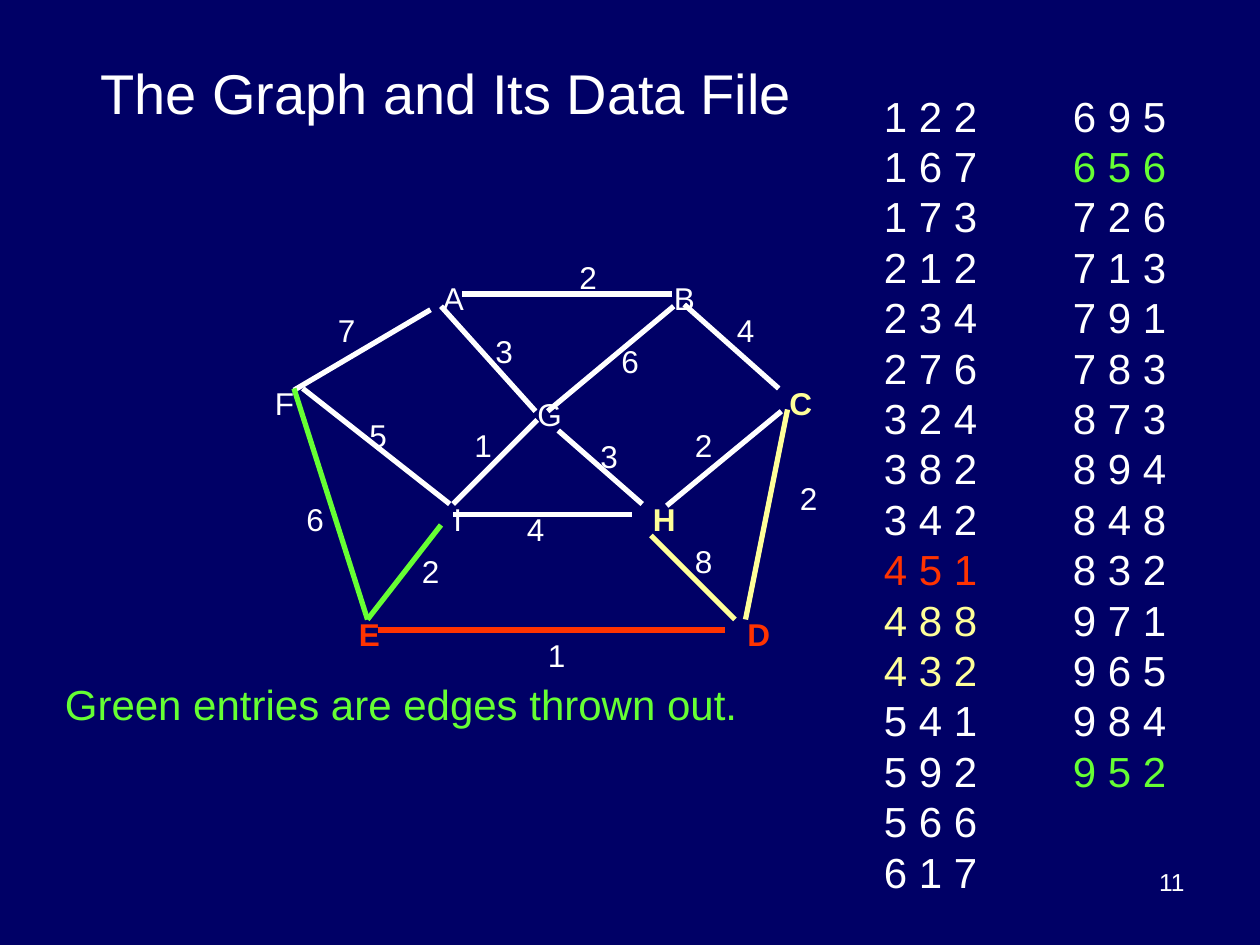
from lxml.etree import SubElement
from pptx import Presentation
from pptx.dml.color import RGBColor
from pptx.enum.shapes import MSO_CONNECTOR
from pptx.enum.text import MSO_ANCHOR, PP_ALIGN
from pptx.oxml.ns import qn
from pptx.util import Pt

COLORS = {"navy": "000066", "white": "FFFFFF", "red": "FF3300",
          "yellow": "FFFF99", "green": "66FF33"}


def paint(name):
    return RGBColor.from_string(COLORS[name])


class Board:
    """Holds the style and the current slide."""
    font = "Arial"
    width = 3

    def __init__(self, slide):
        self.slide = slide
        fill = slide.background.fill
        fill.solid()
        fill.fore_color.rgb = paint("navy")

    def text(self, text, *, box, size=18, color="white", bold=False,
             align=PP_ALIGN.LEFT, anchor=MSO_ANCHOR.TOP, marks=None):
        """Add one paragraph per line; marks gives some lines a color."""
        frame = self.slide.shapes.add_textbox(*map(Pt, box)).text_frame
        frame.word_wrap = True
        frame.vertical_anchor = anchor
        frame.text = text
        for para in frame.paragraphs:
            para.alignment = align
            para.line_spacing = Pt(round(size * 1.2, 1))
            font = para.font
            font.name, font.size, font.bold = self.font, Pt(size), bold
            font.color.rgb = paint((marks or {}).get(para.text, color))

    def label(self, text, x, y, color="white"):
        self.text(text, box=(x, y, 30, 28.8), color=color,
                  bold=color != "white")

    def edge(self, start, end, color="white"):
        line = self.slide.shapes.add_connector(
            MSO_CONNECTOR.STRAIGHT, *map(Pt, start + end))
        line.line.color.rgb = paint(color)
        line.line.width = Pt(self.width)
        SubElement(line._element.spPr, qn("a:effectLst"))

    def column(self, rows, x, width, marks):
        self.text("\n".join(rows), box=(x, 48, width, 468), size=24,
                  marks=marks)


NODES = [
    ("D", 420, 348, "red"), ("E", 198, 348, "red"),
    ("H", 366, 282, "yellow"), ("I", 252, 282), ("F", 150, 216),
    ("C", 444, 216, "yellow"), ("G", 300, 222), ("B", 378, 156),
    ("A", 246, 156),
]
EDGES = [
    ((264, 168), (384, 168)),                # A-B
    ((173, 222), (257, 288)),                # F-I
    ((168, 223), (246, 177)),                # F-A
    ((252, 175), (306, 235)),                # A-G
    ((385, 175), (313, 235)),                # B-G
    ((307, 240), (259, 288)),                # G-I
    ((319, 246), (367, 288)),                # G-H
    ((391, 174), (445, 222)),                # B-C
    ((446.5, 235), (381, 289)),              # C-H
    ((450, 234), (426, 354), "yellow"),      # C-D
    ((372, 306), (420, 354), "yellow"),      # H-D
    ((259, 294), (361, 294)),                # I-H
    ((252, 300), (210, 354), "green"),       # I-E
    ((168, 222), (210, 354), "green"),       # F-E
    ((216, 360), (414, 360), "red"),         # E-D
]
COSTS = [
    ("8", 390, 306), ("6", 168, 282), ("5", 204, 234), ("3", 336, 246),
    ("3", 276, 186), ("2", 234, 312), ("2", 450, 270), ("2", 324, 144),
    ("1", 264, 240), ("6", 348, 192), ("1", 306, 360), ("4", 294, 288),
    ("2", 390, 240), ("4", 414, 174), ("7", 186, 174),
]
LEFT = ["1 2 2", "1 6 7", "1 7 3", "2 1 2", "2 3 4", "2 7 6", "3 2 4",
        "3 8 2", "3 4 2", "4 5 1", "4 8 8", "4 3 2", "5 4 1", "5 9 2",
        "5 6 6", "6 1 7"]
RIGHT = ["6 9 5", "6 5 6", "7 2 6", "7 1 3", "7 9 1", "7 8 3", "8 7 3",
         "8 9 4", "8 4 8", "8 3 2", "9 7 1", "9 6 5", "9 8 4", "9 5 2"]
MARKS = {"4 5 1": "red", "4 8 8": "yellow", "4 3 2": "yellow",
         "6 5 6": "green", "9 5 2": "green"}


def main():
    deck = Presentation()
    deck.slide_width, deck.slide_height = Pt(720), Pt(540)
    board = Board(deck.slides.add_slide(deck.slide_layouts[6]))

    # Title
    board.text("The Graph and Its Data File", box=(36, 21.6, 438, 62.6),
               size=32, align=PP_ALIGN.CENTER, anchor=MSO_ANCHOR.MIDDLE)

    # Graph: nodes, edges and their costs
    for node in NODES:
        board.label(*node)
    for edge in EDGES:
        board.edge(*edge)
    for cost in COSTS:
        board.label(*cost)

    # Data file
    board.column(LEFT, 498, 108, MARKS)
    board.column(RIGHT, 606, 78, MARKS)

    # Note and page number
    board.text("Green entries are edges thrown out.",
               box=(30, 384, 444, 36), size=24, color="green")
    board.text("11", box=(516, 492, 168, 37.5), size=14,
               align=PP_ALIGN.RIGHT)

    deck.save("out.pptx")


if __name__ == "__main__":
    main()
